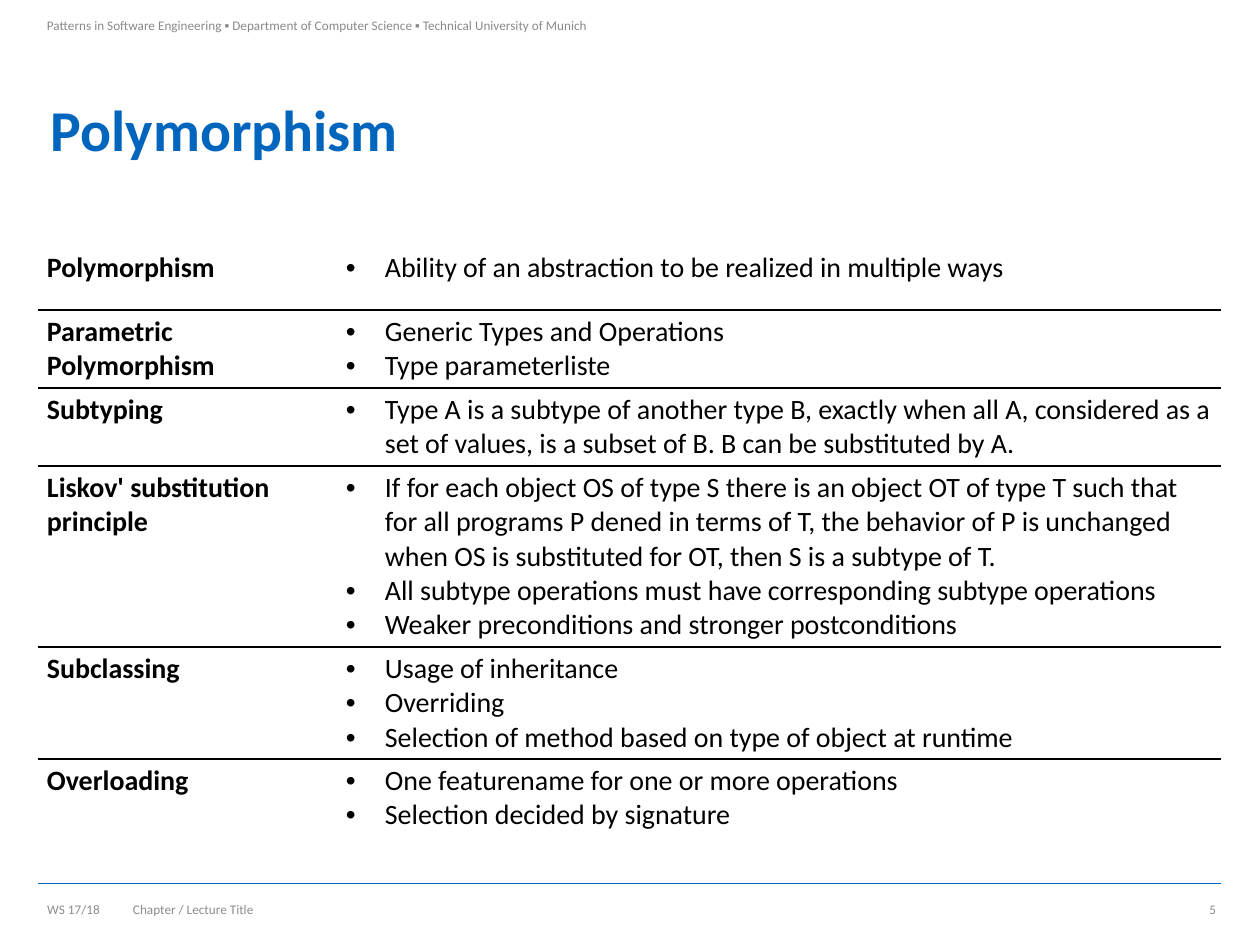
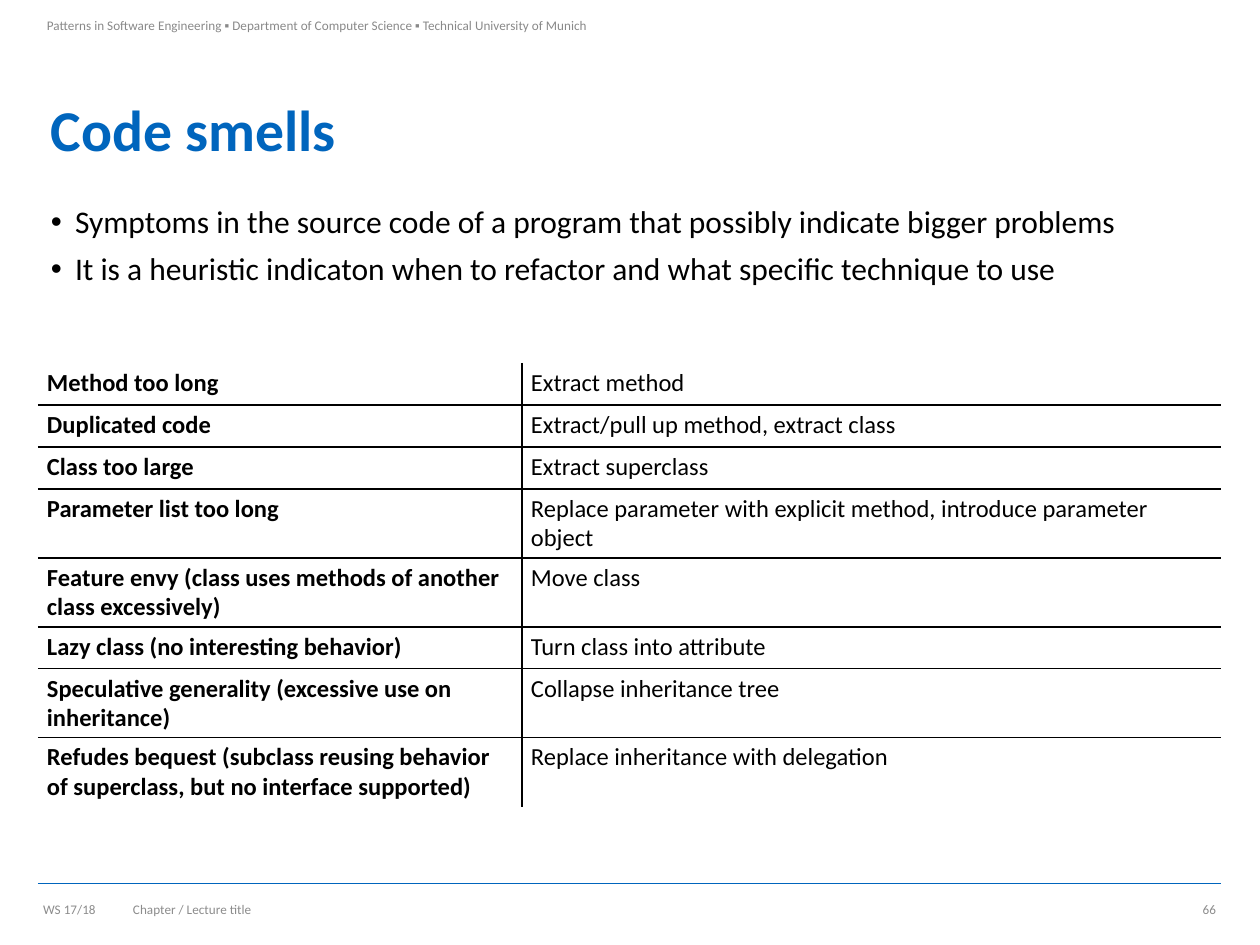
from dataclasses import dataclass
from itertools import product

from lxml.etree import SubElement
from pptx import Presentation
from pptx.dml.color import RGBColor
from pptx.enum.shapes import MSO_CONNECTOR
from pptx.enum.text import MSO_ANCHOR as Anchor, PP_ALIGN as Align
from pptx.oxml.ns import qn
from pptx.slide import Slide
from pptx.table import _Cell as Cell
from pptx.text.text import TextFrame
from pptx.util import Emu, Pt

PIXEL = 914400 // 126
FONT = "Calibri"
BLUE = RGBColor(0x00, 0x65, 0xBD)
HEADER_GRAY = RGBColor(0x89, 0x89, 0x89)
FOOTER_GRAY = RGBColor(0x8C, 0x8C, 0x8C)
BLACK = RGBColor(0x00, 0x00, 0x00)

LEFT, WIDTH = 38, 1183
FOOTER_TOP, FOOTER_HEIGHT = 895, 29
COURSE = ("Patterns in Software Engineering ▪ Department of Computer Science "
          "▪ Technical University of Munich")
TERM = "WS 17/18"


@dataclass(frozen=True)
class Box:
    left: int
    top: int
    width: int
    height: int


@dataclass(frozen=True)
class Insets:
    left: int = 13
    top: int = 6
    right: int = 13
    bottom: int = 6


@dataclass(frozen=True)
class TextStyle:
    size: float
    color: RGBColor
    bold: bool = False
    align: Align = Align.LEFT
    line_spacing: float | None = None
    space_before: float | None = None
    bullet_indent: int = 0


@dataclass(frozen=True)
class Row:
    term: str
    details: tuple[str, ...]
    height: int


@dataclass(frozen=True)
class TermTable:
    top: int
    columns: tuple[int, int]
    rows: tuple[Row, ...]
    size: float
    bullet_indent: int = 0
    divider: bool = False


@dataclass(frozen=True)
class Page:
    title: str
    chapter: str
    number: int
    term_align: Align
    table: TermTable
    points: tuple[str, ...] = ()


TITLE_STYLE = TextStyle(33, BLUE, bold=True, line_spacing=0.9)
POINT_STYLE = TextStyle(18, BLACK, line_spacing=0.9, space_before=7.5,
                        bullet_indent=24)
HEADER_STYLE = TextStyle(7.5, HEADER_GRAY)
CELL_INSETS = Insets(9, 5, 9, 5)
FOOTER_INSETS = Insets(5, 6, 5, 6)

PAGES = (
    Page(
        "Polymorphism", "Chapter / Lecture Title", 5, Align.CENTER,
        TermTable(246, (299, 884), (
            Row("Polymorphism",
                ("Ability of an abstraction to be realized in multiple ways",),
                64),
            Row("Parametric Polymorphism",
                ("Generic Types and Operations", "Type parameterliste"), 78),
            Row("Subtyping",
                ("Type A is a subtype of another type B, exactly when all A, "
                 "considered as a set of values, is a subset of B. B can be "
                 "substituted by A.",), 78),
            Row("Liskov' substitution principle",
                ("If for each object OS of type S there is an object OT of "
                 "type T such that for all programs P dened in terms of T, "
                 "the behavior of P is unchanged when OS is substituted for "
                 "OT, then S is a subtype of T.",
                 "All subtype operations must have corresponding subtype "
                 "operations",
                 "Weaker preconditions and stronger postconditions"), 181),
            Row("Subclassing",
                ("Usage of inheritance", "Overriding",
                 "Selection of method based on type of object at runtime"),
                112),
            Row("Overloading",
                ("One featurename for one or more operations",
                 "Selection decided by signature"), 78),
        ), 16, bullet_indent=39),
    ),
    Page(
        "Code smells", "Chapter / Lecture title", 66, Align.LEFT,
        TermTable(363, (484, 699), (
            Row("Method too long", ("Extract method",), 42),
            Row("Duplicated code",
                ("Extract/pull up method, extract class",), 42),
            Row("Class too large", ("Extract superclass",), 42),
            Row("Parameter list too long",
                ("Replace parameter with explicit method, introduce "
                 "parameter object",), 69),
            Row("Feature envy (class uses methods of another class "
                "excessively)", ("Move class",), 69),
            Row("Lazy class (no interesting behavior)",
                ("Turn class into attribute",), 42),
            Row("Speculative generality (excessive use on inheritance)",
                ("Collapse inheritance tree",), 69),
            Row("Refudes bequest (subclass reusing behavior of superclass, "
                "but no interface supported)",
                ("Replace inheritance with delegation",), 69),
        ), 14, divider=True),
        ("Symptoms in the source code of a program that possibly indicate "
         "bigger problems",
         "It is a heuristic indicaton when to refactor and what specific "
         "technique to use"),
    ),
)


def px(pixels: int) -> Emu:
    return Emu(pixels * PIXEL)


def write(frame: TextFrame, lines: tuple[str, ...], style: TextStyle) -> None:
    for index, line in enumerate(lines):
        paragraph = frame.add_paragraph() if index else frame.paragraphs[0]
        paragraph.text = line
        paragraph.alignment = style.align
        if style.bullet_indent:
            properties = paragraph._p.get_or_add_pPr()
            properties.set("marL", str(px(style.bullet_indent)))
            properties.set("indent", str(-px(style.bullet_indent)))
            SubElement(properties, qn("a:buFont"), typeface="Arial")
            SubElement(properties, qn("a:buChar"), char="•")
        if style.line_spacing is not None:
            paragraph.line_spacing = style.line_spacing
        if style.space_before is not None:
            paragraph.space_before = Pt(style.space_before)
        font = paragraph.font
        font.name = FONT
        font.size = Pt(style.size)
        font.bold = style.bold
        font.color.rgb = style.color


def set_insets(target: TextFrame | Cell, insets: Insets) -> None:
    target.margin_left = px(insets.left)
    target.margin_top = px(insets.top)
    target.margin_right = px(insets.right)
    target.margin_bottom = px(insets.bottom)


def add_text(slide: Slide, box: Box, lines: tuple[str, ...], style: TextStyle,
             insets: Insets = Insets(), anchor: Anchor = Anchor.MIDDLE) -> None:
    shape = slide.shapes.add_textbox(px(box.left), px(box.top),
                                     px(box.width), px(box.height))
    frame = shape.text_frame
    frame.word_wrap = True
    frame.vertical_anchor = anchor
    set_insets(frame, insets)
    write(frame, lines, style)


def add_footer_rule(slide: Slide) -> None:
    rule = slide.shapes.add_connector(MSO_CONNECTOR.STRAIGHT, px(LEFT), px(884),
                                      px(LEFT + WIDTH), px(884))
    rule.line.color.rgb = BLUE
    rule.line.width = Pt(0.5)
    SubElement(rule._element.spPr, qn("a:effectLst"))


def set_borders(cell: Cell, visible: dict[str, bool]) -> None:
    properties = cell._tc.get_or_add_tcPr()
    for side, shown in visible.items():
        line = SubElement(properties, qn(f"a:ln{side}"), w=str(Pt(1)))
        if shown:
            fill = SubElement(line, qn("a:solidFill"))
            SubElement(fill, qn("a:srgbClr"), val=str(BLACK))
        else:
            SubElement(line, qn("a:noFill"))


def add_term_table(slide: Slide, spec: TermTable) -> None:
    last = len(spec.rows) - 1
    height = sum(row.height for row in spec.rows)
    table = slide.shapes.add_table(len(spec.rows), 2, px(LEFT), px(spec.top),
                                   px(WIDTH), px(height)).table
    table.first_row = False
    table.horz_banding = False
    for column, width in zip(table.columns, spec.columns):
        column.width = px(width)
    for table_row, row in zip(table.rows, spec.rows):
        table_row.height = px(row.height)

    styles = (TextStyle(spec.size, BLACK, bold=True),
              TextStyle(spec.size, BLACK, bullet_indent=spec.bullet_indent))
    for (index, row), column in product(enumerate(spec.rows), range(2)):
        cell = table.cell(index, column)
        set_insets(cell, CELL_INSETS)
        set_borders(cell, {"L": spec.divider and column == 1,
                           "R": spec.divider and column == 0,
                           "T": index > 0,
                           "B": index < last})
        cell.fill.background()
        lines = row.details if column else (row.term,)
        write(cell.text_frame, lines, styles[column])


def add_footer(slide: Slide, page: Page) -> None:
    parts = (
        (LEFT, 71, TERM, page.term_align, FOOTER_INSETS),
        (1166, 55, str(page.number), Align.RIGHT, FOOTER_INSETS),
        (120, 814, page.chapter, Align.LEFT, Insets()),
    )
    for left, width, text, align, insets in parts:
        add_text(slide, Box(left, FOOTER_TOP, width, FOOTER_HEIGHT), (text,),
                 TextStyle(7.5, FOOTER_GRAY, align=align), insets)


def add_page(presentation: Presentation, page: Page) -> None:
    slide = presentation.slides.add_slide(presentation.slide_layouts[6])
    add_footer_rule(slide)
    add_text(slide, Box(LEFT, 0, 592, 86), (COURSE,), HEADER_STYLE,
             Insets(9, 24, 13, 6), Anchor.TOP)
    add_text(slide, Box(LEFT, 86, WIDTH, 93), (page.title,), TITLE_STYLE)
    if page.points:
        add_text(slide, Box(LEFT, 200, WIDTH, 611), page.points, POINT_STYLE,
                 anchor=Anchor.TOP)
    add_footer(slide, page)
    add_term_table(slide, page.table)


def main() -> None:
    presentation = Presentation()
    presentation.slide_width = px(1260)
    presentation.slide_height = px(945)
    for page in PAGES:
        add_page(presentation, page)
    presentation.save("out.pptx")


main()
